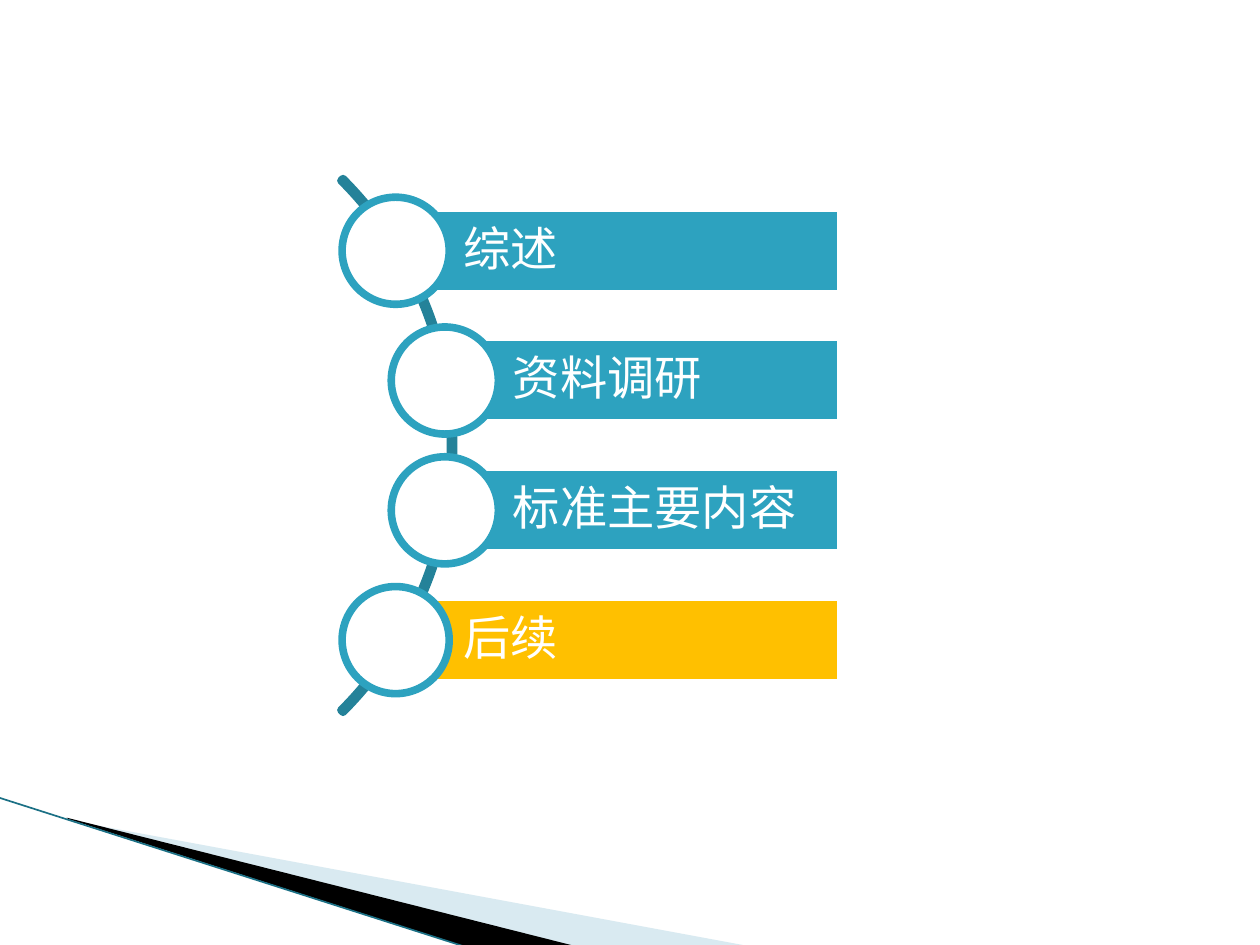
"""Build the agenda slide: four topics along an arc, over a swoosh at the bottom."""
import lxml.etree
import pptx
import pptx.dml.color
import pptx.enum.shapes
import pptx.enum.text
import pptx.oxml.ns
import pptx.util

Inches, Pt = pptx.util.Inches, pptx.util.Pt
RGBColor = pptx.dml.color.RGBColor
MSO_SHAPE = pptx.enum.shapes.MSO_SHAPE
qn = pptx.oxml.ns.qn

WHITE = RGBColor(0xFF, 0xFF, 0xFF)
BLACK = RGBColor(0x00, 0x00, 0x00)
TEAL = RGBColor(0x2D, 0xA2, 0xBF)
DARK_TEAL = RGBColor(0x24, 0x82, 0x99)
EDGE_TEAL = RGBColor(0x1B, 0x70, 0x85)
PALE_BLUE = RGBColor(0xA0, 0xCB, 0xDC)
AMBER = RGBColor(0xFF, 0xC0, 0x00)
LINE_WIDTH = Pt(4.33)


def style(sp, fill, line):
    """Set fill and line, or switch either off when it is None."""
    sp.shadow.inherit = False
    if fill is None:
        sp.fill.background()
    else:
        sp.fill.solid()
        sp.fill.fore_color.rgb = fill
    if line is None:
        sp.line.fill.background()
    else:
        sp.line.color.rgb = line
        sp.line.width = LINE_WIDTH


def add_shape(s, kind, box, fill, line):
    """Add a preset shape from a box in inches."""
    sp = s.shapes.add_shape(kind, *(Inches(v) for v in box))
    style(sp, fill, line)
    return sp


prs = pptx.Presentation()
prs.slide_width, prs.slide_height = Inches(10), Inches(7.5)
s = prs.slides.add_slide(prs.slide_layouts[6])

swooshes = [
    (PALE_BLUE, 40, [(0.55, 6.51), (5.95, 7.51), (4.56, 7.51), (0.55, 6.5)]),
    (BLACK, 100, [(0.53, 6.49), (4.57, 7.51), (3.72, 7.52), (0.54, 6.5)]),
]
for color, opacity, points in swooshes:
    start, *rest = [(Inches(x), Inches(y)) for x, y in points]
    fb = s.shapes.build_freeform(*start)
    fb.add_line_segments(rest)
    sp = fb.convert_to_shape()
    style(sp, color, None)
    if opacity < 100:
        clr = sp._element.spPr.find(".//" + qn("a:srgbClr"))
        lxml.etree.SubElement(clr, qn("a:alpha"), val=str(opacity * 1000))

edge = s.shapes.add_connector(
    pptx.enum.shapes.MSO_CONNECTOR.STRAIGHT,
    Inches(-0.01), Inches(6.33), Inches(3.71), Inches(7.52))
edge.line.color.rgb = EDGE_TEAL
edge.line.width = Pt(0.95)
lxml.etree.SubElement(edge._element.spPr, qn("a:effectLst"))

arc = add_shape(s, MSO_SHAPE.BLOCK_ARC, (-2.39, 0.54, 5.99, 5.99), None, DARK_TEAL)
for i, value in enumerate((189, 27, 0.004)):
    arc.adjustments[i] = value

frame_format = {
    "word_wrap": True,
    "vertical_anchor": pptx.enum.text.MSO_ANCHOR.MIDDLE,
    "margin_left": Inches(0.54),
    "margin_top": Inches(0.07),
    "margin_right": Inches(0.07),
    "margin_bottom": Inches(0.07),
}
paragraph_format = {
    "alignment": pptx.enum.text.PP_ALIGN.LEFT,
    "line_spacing": 0.9,
    "space_after": Pt(9),
}
font_format = {"name": "Courier New", "size": Pt(27)}

topics = [
    ("综述", 3.14, TEAL),
    ("资料调研", 3.53, TEAL),
    ("标准主要内容", 3.53, TEAL),
    ("后续", 3.14, AMBER),
]
BAR_RIGHT, BAR_HEIGHT, DOT_SIZE = 6.67, 0.68, 0.85
FIRST_MIDDLE, PITCH = 1.99, 1.03

for i, (topic, left, color) in enumerate(topics):
    middle = FIRST_MIDDLE + i * PITCH
    bar = add_shape(
        s, MSO_SHAPE.RECTANGLE,
        (left, middle - BAR_HEIGHT / 2, BAR_RIGHT - left, BAR_HEIGHT), color, WHITE)
    tf = bar.text_frame
    p = tf.paragraphs[0]
    r = p.add_run()
    r.text = topic
    r.font.color.rgb = WHITE
    for target, values in ((tf, frame_format), (p, paragraph_format), (r.font, font_format)):
        for name, value in values.items():
            setattr(target, name, value)
    add_shape(
        s, MSO_SHAPE.OVAL,
        (left - DOT_SIZE / 2, middle - DOT_SIZE / 2, DOT_SIZE, DOT_SIZE), WHITE, TEAL)

prs.save("out.pptx")
